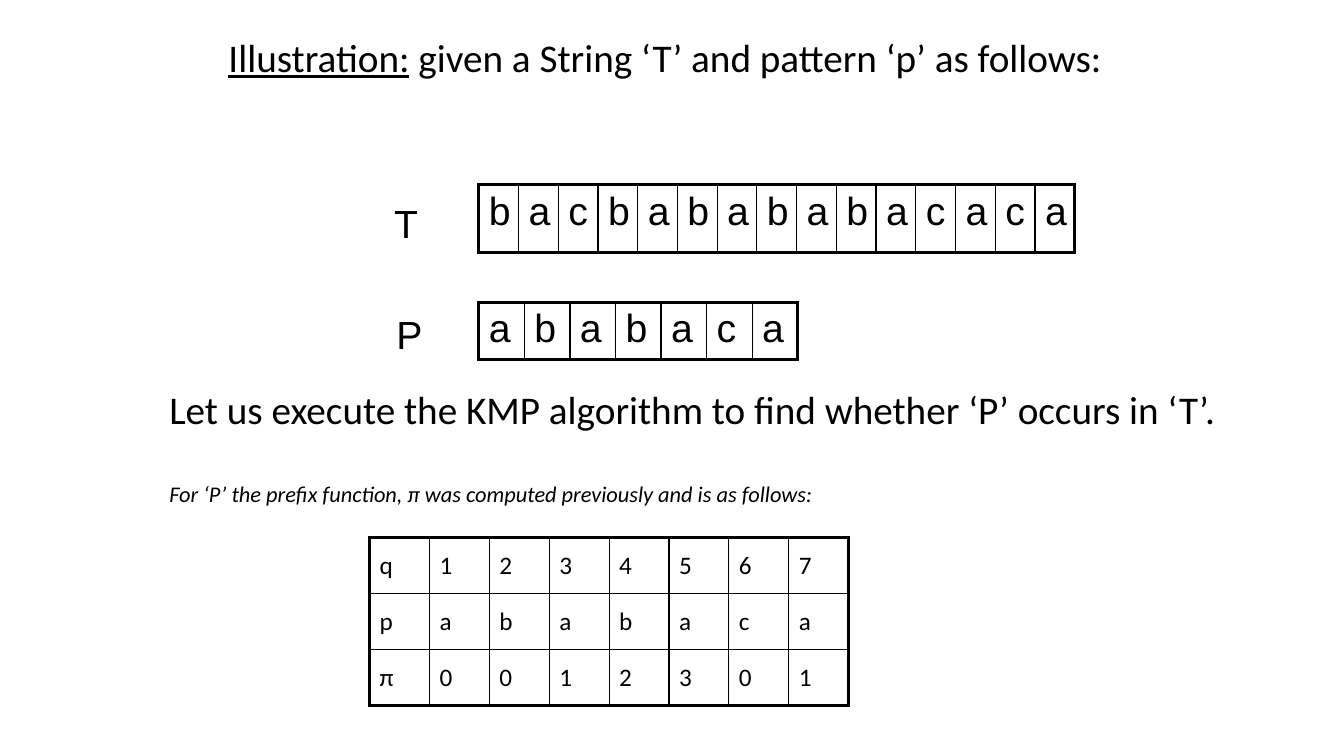
"""Build the slide that introduces the string, the pattern and its prefix function."""
from dataclasses import dataclass

from lxml import etree
from pptx import Presentation
from pptx.dml.color import RGBColor
from pptx.enum import text
from pptx.oxml import ns
from pptx.util import Pt

COLOURS = {"ink": "000000"}
THICK, THIN = 2.25, 1
FRAME_SIDE = 236


@dataclass
class Style:
    """Look of one line of text."""
    font: str
    size: float
    italic: bool = False
    space_before: float = 0


@dataclass
class Grid:
    """Bordered table with one character per cell."""
    left: float
    top: float
    column_width: float
    row_height: float
    rows: list[str]
    style: Style
    anchor: text.MSO_ANCHOR


@dataclass
class Label:
    """Text box with one style per line."""
    left: float
    top: float
    width: float
    height: float
    lines: list[tuple[str, Style]]


LETTER = Style("Arial", 28)
HEADING = Style("Calibri", 28)
NOTE = Style("Calibri", 16, italic=True, space_before=34)
VALUE = Style("Calibri", 18)

PARTS = [
    Grid(342, 132, 28.4, 48.2, ["bacbabababacaca"], LETTER, text.MSO_ANCHOR.TOP),
    Label(276, 218, 33.5, 41, [("P", LETTER)]),
    Grid(342, 216, 32.55, 40.8, ["ababaca"], LETTER, text.MSO_ANCHOR.TOP),
    Label(113.8, 271.8, 771, 94, [
        ("Let us execute the KMP algorithm to find whether ‘P’ occurs in ‘T’.", HEADING),
        ("For ‘P’ the prefix function, π was computed previously and is as follows:", NOTE),
    ]),
    Grid(264, 384, 42.8, 40, ["q1234567", "pababaca", "π0012301"], VALUE, text.MSO_ANCHOR.MIDDLE),
    Label(274.5, 139, 33.5, 41, [("T", LETTER)]),
]


def format_paragraph(paragraph, style: Style) -> None:
    """Apply a style to a whole paragraph."""
    font = paragraph.font
    font.name, font.size, font.italic = style.font, Pt(style.size), style.italic
    font.color.rgb = RGBColor.from_string(COLOURS["ink"])
    paragraph.alignment = text.PP_ALIGN.LEFT
    paragraph.space_before = Pt(style.space_before)


def draw_title(slide) -> None:
    """Fill and place the title."""
    title = slide.shapes.title
    title.left, title.top, title.width, title.height = Pt(156), Pt(24), Pt(648), Pt(42)
    frame = title.text_frame
    frame.auto_size = text.MSO_AUTO_SIZE.NONE
    frame.vertical_anchor = text.MSO_ANCHOR.TOP
    paragraph = frame.paragraphs[0]
    opening = paragraph.add_run()
    opening.text = "Illustration:"
    opening.font.underline = True
    paragraph.add_run().text = " given a String ‘T’ and pattern ‘p’ as follows:"
    format_paragraph(paragraph, HEADING)
    paragraph.line_spacing = 0.9


def draw_label(slide, label: Label) -> None:
    """Draw a text box."""
    box = slide.shapes.add_textbox(Pt(label.left), Pt(label.top), Pt(label.width), Pt(label.height))
    frame = box.text_frame
    frame.word_wrap = True
    for index, (line, style) in enumerate(label.lines):
        paragraph = frame.add_paragraph() if index else frame.paragraphs[0]
        paragraph.text = line
        format_paragraph(paragraph, style)


def set_borders(cell, widths: dict[str, float]) -> None:
    """Draw the cell's borders, ahead of its fill."""
    properties = cell._tc.get_or_add_tcPr()
    for index, (side, width) in enumerate(widths.items()):
        line = etree.Element(ns.qn(f"a:ln{side}"), w=str(Pt(width)))
        fill = etree.SubElement(line, ns.qn("a:solidFill"))
        etree.SubElement(fill, ns.qn("a:srgbClr"), val=COLOURS["ink"])
        properties.insert(index, line)


def draw_grid(slide, grid: Grid) -> None:
    """Draw a table with a thick frame and thin inner lines."""
    row_count, column_count = len(grid.rows), len(grid.rows[0])
    shape = slide.shapes.add_table(
        row_count, column_count, Pt(grid.left), Pt(grid.top), Pt(FRAME_SIDE), Pt(FRAME_SIDE))
    table = shape.table
    table.first_row = table.horz_banding = False
    for column in table.columns:
        column.width = Pt(grid.column_width)
    for row_index, characters in enumerate(grid.rows):
        table.rows[row_index].height = Pt(grid.row_height)
        for column_index, character in enumerate(characters):
            cell = table.cell(row_index, column_index)
            cell.text = character
            cell.vertical_anchor = grid.anchor
            cell.fill.background()
            format_paragraph(cell.text_frame.paragraphs[0], grid.style)
            set_borders(cell, {
                "L": THICK if column_index == 0 else THIN,
                "R": THICK if column_index == column_count - 1 else THIN,
                "T": THICK if row_index == 0 else THIN,
                "B": THICK if row_index == row_count - 1 else THIN,
            })
    shape.width = shape.height = Pt(FRAME_SIDE)


def main() -> None:
    """Build and save the presentation."""
    presentation = Presentation()
    presentation.slide_width, presentation.slide_height = Pt(960), Pt(540)
    slide = presentation.slides.add_slide(presentation.slide_layouts[5])
    draw_title(slide)
    for part in PARTS:
        if isinstance(part, Grid):
            draw_grid(slide, part)
        else:
            draw_label(slide, part)
    presentation.save("out.pptx")


if __name__ == "__main__":
    main()
